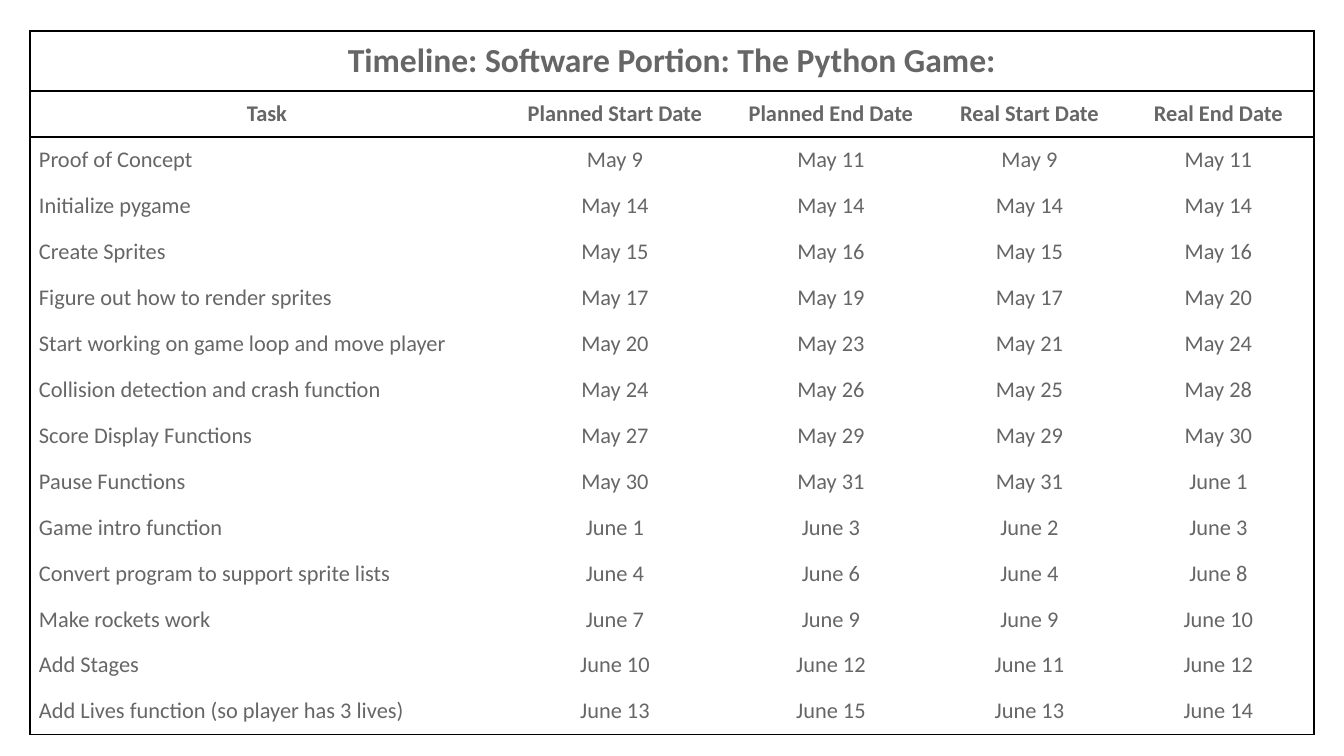
import lxml.etree
import pptx
import pptx.dml.color
import pptx.enum.text
import pptx.oxml.ns
import pptx.util

# Content
TITLE = "Timeline: Software Portion: The Python Game:"
HEADINGS = ("Task", "Planned Start Date", "Planned End Date", "Real Start Date", "Real End Date")
TASKS = [
    ("Proof of Concept", "May 9", "May 11", "May 9", "May 11"),
    ("Initialize pygame", "May 14", "May 14", "May 14", "May 14"),
    ("Create Sprites", "May 15", "May 16", "May 15", "May 16"),
    ("Figure out how to render sprites", "May 17", "May 19", "May 17", "May 20"),
    ("Start working on game loop and move player", "May 20", "May 23", "May 21", "May 24"),
    ("Collision detection and crash function", "May 24", "May 26", "May 25", "May 28"),
    ("Score Display Functions", "May 27", "May 29", "May 29", "May 30"),
    ("Pause Functions", "May 30", "May 31", "May 31", "June 1"),
    ("Game intro function", "June 1", "June 3", "June 2", "June 3"),
    ("Convert program to support sprite lists", "June 4", "June 6", "June 4", "June 8"),
    ("Make rockets work", "June 7", "June 9", "June 9", "June 10"),
    ("Add Stages", "June 10", "June 12", "June 11", "June 12"),
    ("Add Lives function (so player has 3 lives)", "June 13", "June 15", "June 13", "June 14"),
]
ROWS = [(TITLE, "", "", "", ""), HEADINGS, *TASKS]

# Layout in px
SCALE = 914400 / 134.4
SLIDE_WIDTH, SLIDE_HEIGHT = 1344, 756
LEFT, TOP = 30, 31
COLUMN_WIDTHS = (474, 222, 210, 187, 191)
ROW_HEIGHTS = [60] + [46] * (len(ROWS) - 1)
MARGIN = 9

# Look
GREY = pptx.dml.color.RGBColor(0x66, 0x66, 0x66)
BLACK = pptx.dml.color.RGBColor(0, 0, 0)
BORDER = pptx.util.Pt(1)
TITLE_FONT = {"name": "Calibri", "size": pptx.util.Pt(18), "bold": True}
HEADING_FONT = {"name": "Calibri", "size": pptx.util.Pt(12), "bold": True}
TASK_FONT = {"name": "Calibri", "size": pptx.util.Pt(12), "bold": False}


def px(length):
    return pptx.util.Emu(round(length * SCALE))


def set_borders(cell, visible):
    properties = cell._tc.get_or_add_tcPr()
    qn = pptx.oxml.ns.qn
    for side in "LRTB":
        line = lxml.etree.SubElement(properties, qn(f"a:ln{side}"), w=str(BORDER))
        if side in visible:
            fill = lxml.etree.SubElement(line, qn("a:solidFill"))
            lxml.etree.SubElement(fill, qn("a:srgbClr"), val=str(BLACK))
        else:
            lxml.etree.SubElement(line, qn("a:noFill"))


def visible_sides(row, column):
    """Outer frame, plus the rules under the title and the headings."""
    last_row, last_column = len(ROWS) - 1, len(COLUMN_WIDTHS) - 1
    rules = {
        "L": column == 0,
        "R": column == last_column or row == 0,
        "T": row <= 2,
        "B": row <= 1 or row == last_row,
    }
    return [side for side, shown in rules.items() if shown]


def format_cell(cell, text, row, column):
    set_borders(cell, visible_sides(row, column))
    cell.fill.background()
    for side in ("left", "right", "top", "bottom"):
        setattr(cell, f"margin_{side}", px(MARGIN))
    paragraph = cell.text_frame.paragraphs[0]
    paragraph.text = text
    align = pptx.enum.text.PP_ALIGN
    paragraph.alignment = align.LEFT if row > 1 and column == 0 else align.CENTER
    font_format = (TITLE_FONT, HEADING_FONT, TASK_FONT)[min(row, 2)]
    for name, value in font_format.items():
        setattr(paragraph.font, name, value)
    paragraph.font.color.rgb = GREY


def main():
    presentation = pptx.Presentation()
    presentation.slide_width = px(SLIDE_WIDTH)
    presentation.slide_height = px(SLIDE_HEIGHT)
    slide = presentation.slides.add_slide(presentation.slide_layouts[6])

    # Timeline table
    table = slide.shapes.add_table(
        len(ROWS), len(COLUMN_WIDTHS), px(LEFT), px(TOP),
        px(sum(COLUMN_WIDTHS)), px(sum(ROW_HEIGHTS)),
    ).table
    table.first_row = table.horz_banding = False
    for column, width in zip(table.columns, COLUMN_WIDTHS):
        column.width = px(width)
    for row, height in zip(table.rows, ROW_HEIGHTS):
        row.height = px(height)

    # Cells
    table.cell(0, 0).merge(table.cell(0, len(COLUMN_WIDTHS) - 1))
    for row, texts in enumerate(ROWS):
        for column, text in enumerate(texts):
            format_cell(table.cell(row, column), text, row, column)

    presentation.save("out.pptx")


if __name__ == "__main__":
    main()
